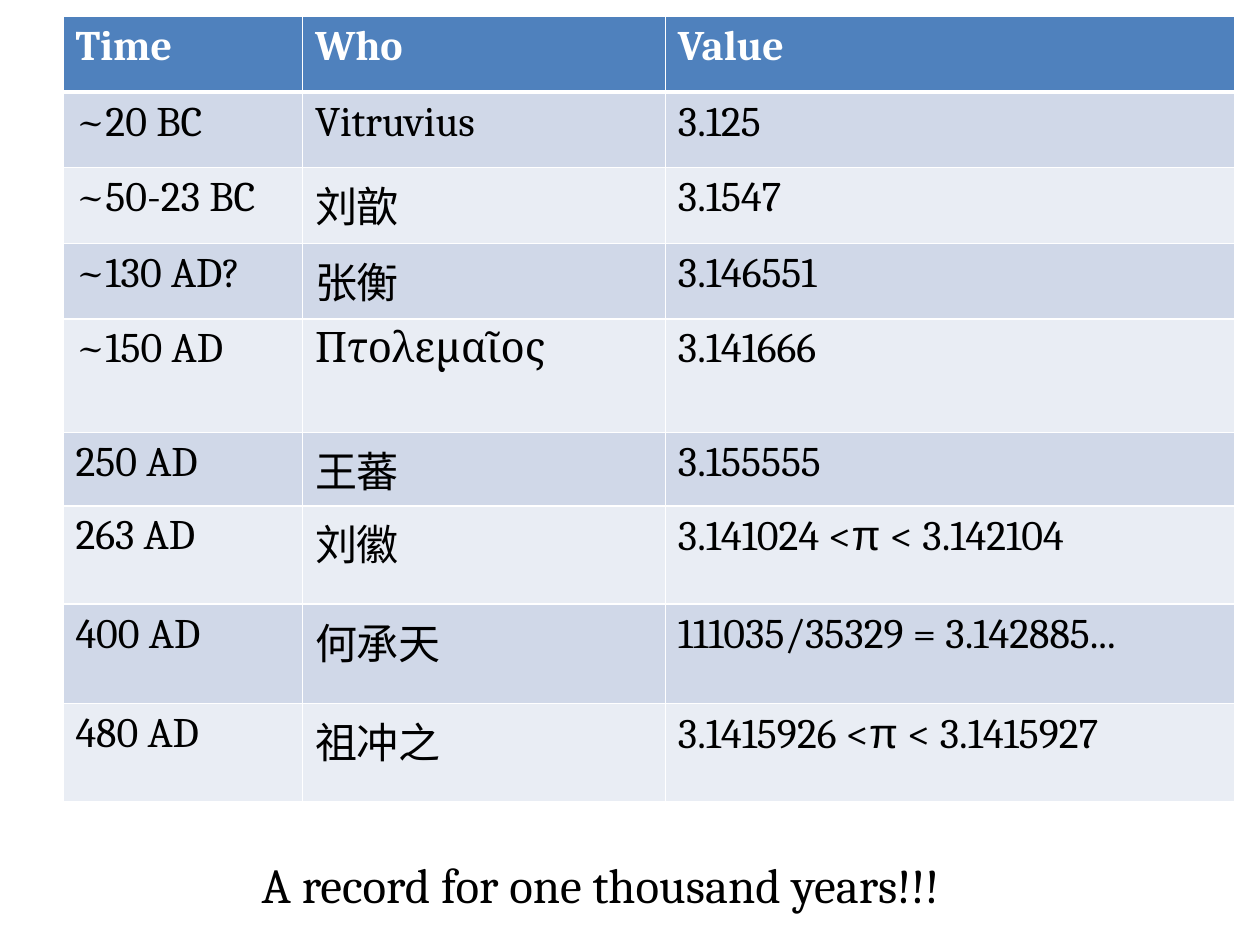
from pptx import Presentation
from pptx.dml.color import RGBColor
from pptx.enum.text import MSO_AUTO_SIZE as AutoSize, PP_ALIGN as Align
from pptx.oxml import parse_xml
from pptx.oxml.ns import nsdecls
from pptx.util import Pt

HEADER_FILL = "4F81BD"
BAND_FILLS = ["D0D8E8", "E9EDF4"]
WHITE, BLACK = "FFFFFF", "000000"

COLUMN_WIDTHS = [136.8, 207.4, 325.4]
ROW_HEIGHTS = [43.2] * 4 + [64.8, 40.3, 56.2, 56.9, 56.2]
ROWS = [
    ("Time", "Who", "Value"),
    ("~20 BC", "Vitruvius", "3.125"),
    ("~50-23 BC", "刘歆", "3.1547"),
    ("~130 AD?", "张衡", "3.146551"),
    ("~150 AD", "Πτολεμαῖος", "3.141666"),
    ("250 AD", "王蕃", "3.155555"),
    ("263 AD", "刘徽", "3.141024 <π < 3.142104"),
    ("400 AD", "何承天", "111035/35329 = 3.142885..."),
    ("480 AD", "祖冲之", "3.1415926 <π < 3.1415927"),
]


def color(value):
    return RGBColor.from_string(value)


class SlideBuilder:
    font = "Cambria"
    symbol_font = "Arial"
    table_size = 24
    caption_size = 28

    def __init__(self, slide):
        self.slide = slide

    def add_run(self, paragraph, text, size, text_color, bold=False):
        run = paragraph.add_run()
        run.text = text
        run.font.name = self.symbol_font if text == "π" else self.font
        run.font.size = Pt(size)
        run.font.bold = bold
        run.font.color.rgb = color(text_color)

    def add_border(self, cell, side, width):
        cell._tc.get_or_add_tcPr().append(parse_xml(
            f'<a:ln{side} {nsdecls("a")} w="{Pt(width)}"><a:solidFill>'
            f'<a:srgbClr val="{WHITE}"/></a:solidFill></a:ln{side}>'))

    def fill_cell(self, cell, text, row):
        header = row == 0
        # Borders come before the fill in the cell properties
        widths = {"L": 1, "R": 1, "T": 3 if row == 1 else 1, "B": 3 if header else 1}
        for side, width in widths.items():
            self.add_border(cell, side, width)
        cell.fill.solid()
        cell.fill.fore_color.rgb = color(HEADER_FILL if header else BAND_FILLS[(row - 1) % 2])
        # The symbol π is a run of its own
        before, symbol, after = text.partition("π")
        for part in filter(None, (before, symbol, after)):
            self.add_run(cell.text_frame.paragraphs[0], part, self.table_size,
                         WHITE if header else BLACK, header)

    def add_table(self, left, top, widths, heights, rows):
        table = self.slide.shapes.add_table(
            len(rows), len(widths), Pt(left), Pt(top), Pt(sum(widths)), Pt(sum(heights))).table
        for column, width in zip(table.columns, widths):
            column.width = Pt(width)
        for table_row, height in zip(table.rows, heights):
            table_row.height = Pt(height)
        for row, texts in enumerate(rows):
            for column, text in enumerate(texts):
                self.fill_cell(table.cell(row, column), text, row)

    def add_caption(self, left, top, width, height, text):
        box = self.slide.shapes.add_textbox(Pt(left), Pt(top), Pt(width), Pt(height))
        frame = box.text_frame
        frame.word_wrap = True
        frame.auto_size = AutoSize.SHAPE_TO_FIT_TEXT
        paragraph = frame.paragraphs[0]
        paragraph.alignment = Align.CENTER
        self.add_run(paragraph, text, self.caption_size, BLACK)


def main():
    presentation = Presentation()
    presentation.slide_width, presentation.slide_height = Pt(720), Pt(540)
    builder = SlideBuilder(presentation.slides.add_slide(presentation.slide_layouts[6]))

    # Table of historical values of π
    builder.add_table(36, 9.4, COLUMN_WIDTHS, ROW_HEIGHTS, ROWS)

    # Remark under the table
    builder.add_caption(54, 484.6, 578.2, 41, "A record for one thousand years!!!")

    presentation.save("out.pptx")


if __name__ == "__main__":
    main()
